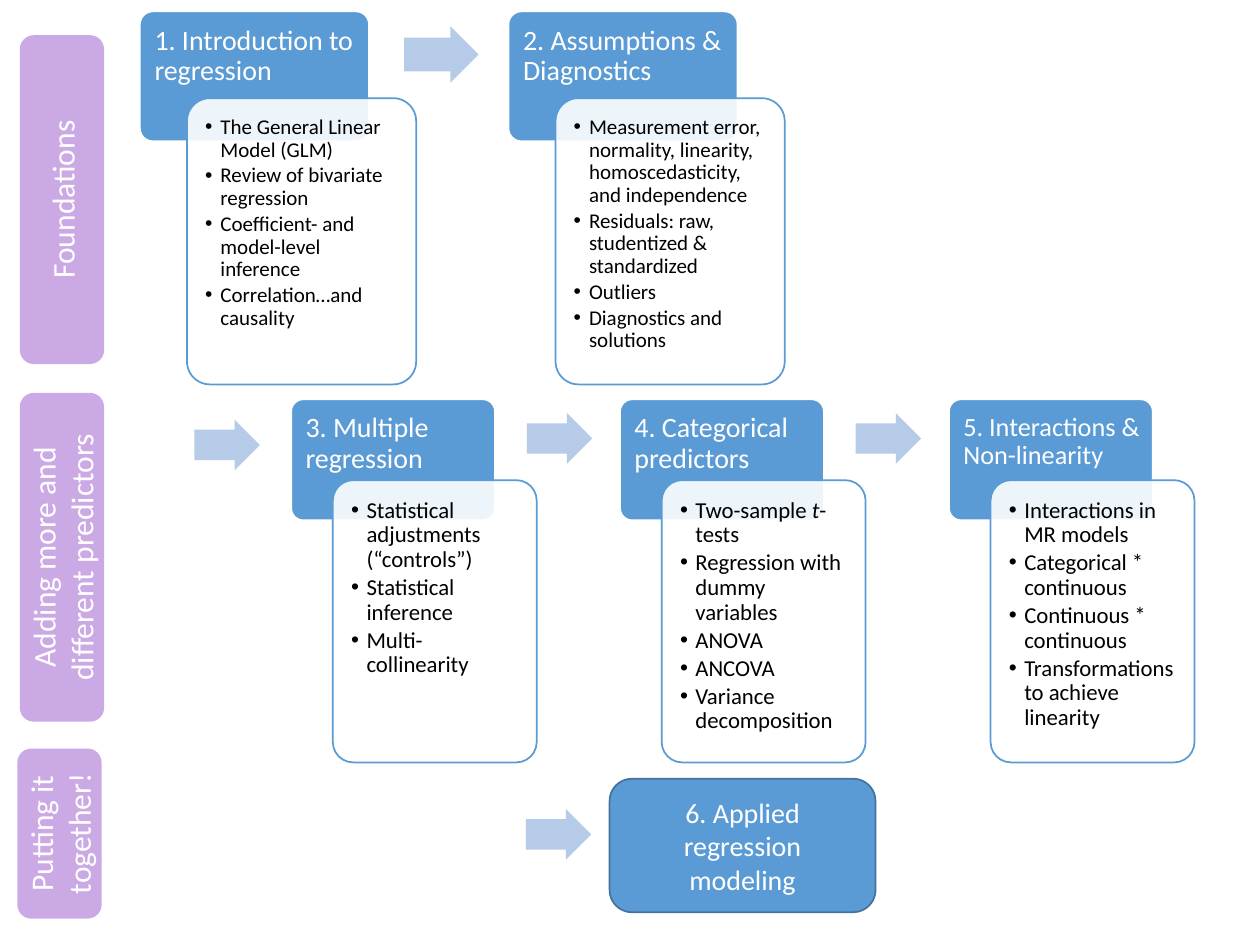
from lxml import etree
from pptx import Presentation
from pptx import util as u
from pptx.dml.color import RGBColor
from pptx.enum import shapes, text
from pptx.oxml import ns

Cm, Pt = u.Cm, u.Pt
FONT = "Calibri"
BLUE = RGBColor(0x5B, 0x9B, 0xD5)
DARK_BLUE = RGBColor(0x43, 0x73, 0x9E)
PALE_BLUE = RGBColor(0xB5, 0xCB, 0xE7)
PURPLE = RGBColor(0xCB, 0xA9, 0xE5)
WHITE = RGBColor(0xFF, 0xFF, 0xFF)
BLACK = RGBColor(0, 0, 0)
ROUND, ARROW = shapes.MSO_SHAPE.ROUNDED_RECTANGLE, shapes.MSO_SHAPE.RIGHT_ARROW

# Content: each unit is heading, heading size, points (underscores mark italics)
FOUNDATION_UNITS = [
    ("1. Introduction to regression", 16, [
        "The General Linear Model (GLM)", "Review of bivariate regression",
        "Coefficient- and model-level inference", "Correlation…and causality"]),
    ("2. Assumptions & Diagnostics", 16, [
        "Measurement error, normality, linearity, homoscedasticity, and independence",
        "Residuals: raw, studentized & standardized", "Outliers",
        "Diagnostics and solutions"]),
]
PREDICTOR_UNITS = [
    ("3. Multiple regression", 16, [
        "Statistical adjustments (“controls”)", "Statistical inference",
        "Multi-collinearity"]),
    ("4. Categorical predictors", 16, [
        "Two-sample _t_-tests", "Regression with dummy variables", "ANOVA",
        "ANCOVA", "Variance decomposition"]),
    ("5. Interactions & Non-linearity", 15, [
        "Interactions in MR models", "Categorical * continuous",
        "Continuous * continuous", "Transformations to achieve linearity"]),
]
# Row geometry in cm; the list box and arrow are offset from the heading box
ROWS = [
    dict(units=FOUNDATION_UNITS, left=2.82, top=0.23, step=7.43, width=4.62,
         head=2.62, list_offset=(0.95, 1.75), list_height=5.77,
         arrow_offset=(5.33, 0.3), arrow_size=(1.5, 1.14), size=12, inset=0.23),
    dict(units=PREDICTOR_UNITS, left=5.87, top=8.05, step=6.63, width=4.11,
         head=2.44, list_offset=(0.84, 1.63), list_height=5.69,
         arrow_offset=(4.75, 0.28), arrow_size=(1.32, 1.02), size=13, inset=0.25),
]
# Phase labels: text, left, top, height
PHASES = [
    ("Foundations", 0.4, 0.71, 6.63),
    ("Adding more and different predictors", 0.4, 7.92, 6.63),
    ("Putting it together!", 0.35, 15.09, 3.43),
]
ROW_START_ARROWS = [(3.92, 8.46), (10.6, 16.31)]

presentation = Presentation()
presentation.slide_width, presentation.slide_height = Cm(25.4), Cm(19.05)
slide = presentation.slides.add_slide(presentation.slide_layouts[6])


def add_box(kind, left, top, width, height, fill, line=None, adjustments=()):
    shape = slide.shapes.add_shape(kind, Cm(left), Cm(top), Cm(width), Cm(height))
    shape.shadow.inherit = False
    shape.fill.solid()
    shape.fill.fore_color.rgb = fill
    if line is None:
        shape.line.fill.background()
    else:
        shape.line.color.rgb = line
        shape.line.width = Pt(1)
    for index, value in enumerate(adjustments):
        shape.adjustments[index] = value
    return shape


def add_arrow(left, top, size=(1.32, 1.02)):
    add_box(ARROW, left, top, *size, PALE_BLUE, adjustments=(0.6, 0.5))


def format_runs(paragraph, size, color):
    for run in paragraph.runs:
        run.font.name, run.font.size = FONT, Pt(size)
        run.font.color.rgb = color


def set_label(shape, label, size):
    frame = shape.text_frame
    frame.text = label
    frame.word_wrap = True
    frame.vertical_anchor = text.MSO_ANCHOR.MIDDLE
    frame.paragraphs[0].alignment = text.PP_ALIGN.CENTER
    format_runs(frame.paragraphs[0], size, WHITE)


def prepare_card(shape, inset):
    frame = shape.text_frame
    frame.word_wrap = True
    frame.vertical_anchor = text.MSO_ANCHOR.TOP
    frame.margin_left = frame.margin_top = frame.margin_bottom = Cm(inset)
    frame.margin_right = Cm(inset - 0.05)
    return frame


def add_bullet(paragraph):
    properties = paragraph._p.get_or_add_pPr()
    properties.set("marL", str(Cm(0.31)))
    properties.set("indent", str(-Cm(0.31)))
    etree.SubElement(properties, ns.qn("a:buFont")).set("typeface", "Arial")
    etree.SubElement(properties, ns.qn("a:buChar")).set("char", "•")


def add_unit(row, left, heading, heading_size, points):
    # Heading
    head = add_box(ROUND, left, row["top"], row["width"], row["head"], BLUE, WHITE, (0.1,))
    frame = prepare_card(head, 0.22)
    frame.text = heading
    paragraph = frame.paragraphs[0]
    paragraph.alignment = text.PP_ALIGN.LEFT
    paragraph.line_spacing = 0.9
    format_runs(paragraph, heading_size, WHITE)

    # Slightly transparent list box
    dx, dy = row["list_offset"]
    card = add_box(ROUND, left + dx, row["top"] + dy, row["width"],
                   row["list_height"], WHITE, BLUE, (0.1,))
    color = card._element.spPr.find(ns.qn("a:solidFill"))[0]
    etree.SubElement(color, ns.qn("a:alpha")).set("val", "90000")
    frame = prepare_card(card, row["inset"])
    for index, point in enumerate(points):
        paragraph = frame.add_paragraph() if index else frame.paragraphs[0]
        paragraph.alignment = text.PP_ALIGN.LEFT
        paragraph.line_spacing = 0.9
        paragraph.space_after = Pt(0.15 * row["size"])
        for part, words in enumerate(point.split("_")):
            run = paragraph.add_run()
            run.text = words
            run.font.italic = part % 2 == 1
        format_runs(paragraph, row["size"], BLACK)
        add_bullet(paragraph)


# Rows of units joined by arrows
for row in ROWS:
    for index, unit in enumerate(row["units"]):
        left = row["left"] + index * row["step"]
        add_unit(row, left, *unit)
        if index < len(row["units"]) - 1:
            dx, dy = row["arrow_offset"]
            add_arrow(left + dx, row["top"] + dy, row["arrow_size"])

# Final unit
final = add_box(ROUND, 12.29, 15.7, 5.36, 2.69, BLUE, DARK_BLUE)
set_label(final, "6. Applied regression modeling", 16)

# Arrows that lead into the lower rows
for left, top in ROW_START_ARROWS:
    add_arrow(left, top)

# Vertical phase labels
for label, left, top, height in PHASES:
    phase = add_box(ROUND, left, top, 1.7, height, PURPLE)
    set_label(phase, label, 18)
    phase.text_frame._txBody.bodyPr.set("vert", "vert270")

presentation.save("out.pptx")
